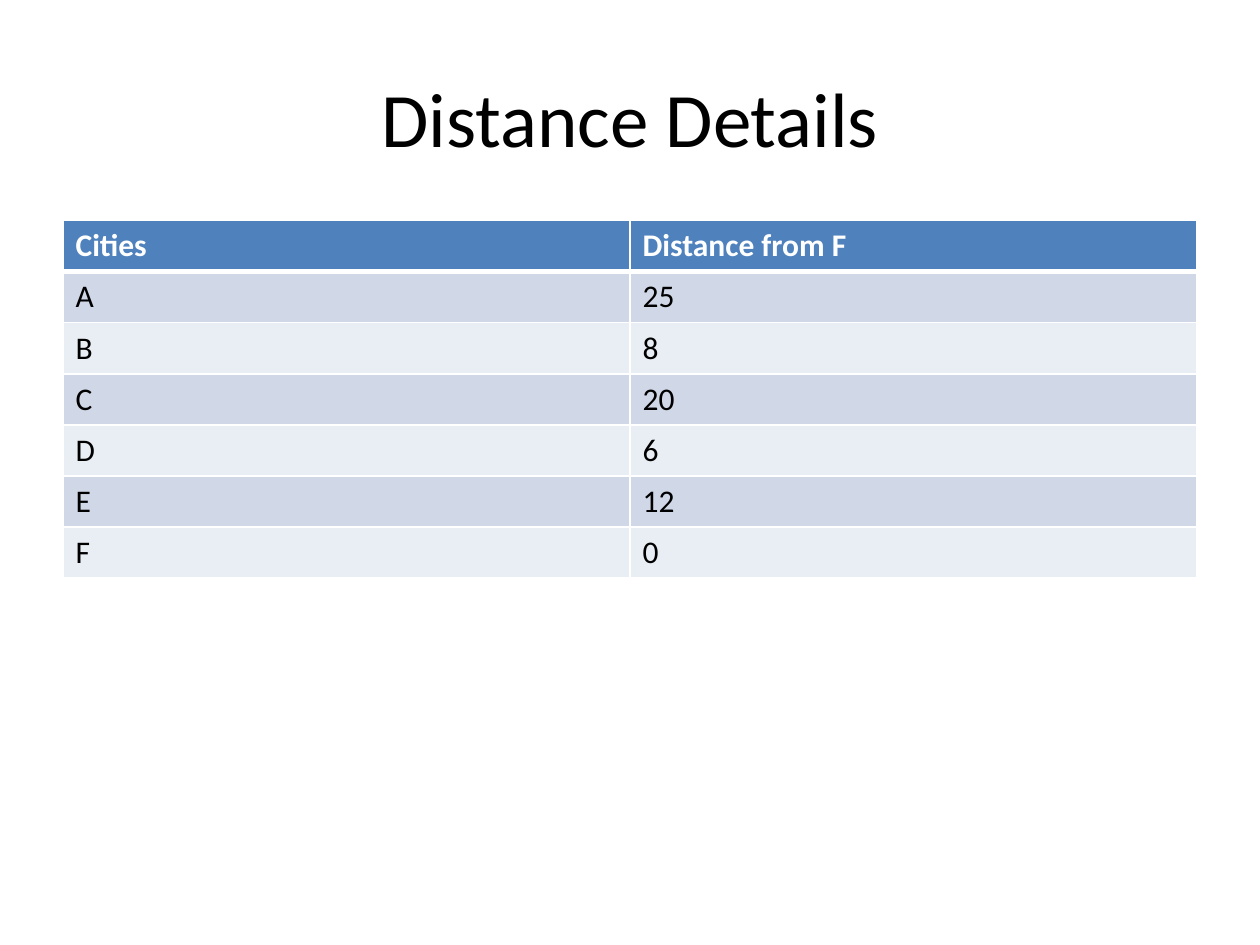
"""Build a slide with a table of city distances."""
from dataclasses import dataclass

from lxml import etree
from pptx import Presentation
from pptx import util as u
from pptx.dml.color import RGBColor
from pptx.enum import text
from pptx.oxml import ns

FONT = "Calibri"
BLACK = RGBColor(0, 0, 0)
WHITE = RGBColor(255, 255, 255)
BLUE = RGBColor(0x4F, 0x81, 0xBD)
BANDS = (RGBColor(0xE9, 0xED, 0xF4), RGBColor(0xD0, 0xD8, 0xE8))
THIN, THICK = 1, 3


@dataclass
class Row:
    city: str
    dist: str


ROWS = [
    Row("Cities", "Distance from F"),
    Row("A", "25"),
    Row("B", "8"),
    Row("C", "20"),
    Row("D", "6"),
    Row("E", "12"),
    Row("F", "0"),
]


def style(frame, size: float, color: RGBColor, bold: bool = False) -> None:
    for para in frame.paragraphs:
        for run in para.runs:
            font = run.font
            font.name, font.size, font.bold = FONT, u.Pt(size), bold
            font.color.rgb = color


def edge(cell, side: str, width: float) -> None:
    props = cell._tc.get_or_add_tcPr()
    line = etree.SubElement(props, ns.qn(f"a:ln{side}"), w=str(u.Pt(width)))
    fill = etree.SubElement(line, ns.qn("a:solidFill"))
    etree.SubElement(fill, ns.qn("a:srgbClr"), val=str(WHITE))


def draw_cell(cell, label: str, row: int) -> None:
    head = row == 0
    top = THICK if row == 1 else THIN
    base = THICK if head else THIN
    for side, width in zip("LRTB", (THIN, THIN, top, base)):
        edge(cell, side, width)
    cell.fill.solid()
    cell.fill.fore_color.rgb = BLUE if head else BANDS[row % 2]
    cell.text_frame.text = label
    style(cell.text_frame, 18, WHITE if head else BLACK, head)


def draw_title(title, label: str) -> None:
    title.left, title.top = u.Pt(36), u.Pt(21.6)
    title.width, title.height = u.Pt(648), u.Pt(90)
    frame = title.text_frame
    frame.text = label
    frame.vertical_anchor = text.MSO_ANCHOR.MIDDLE
    frame.paragraphs[0].alignment = text.PP_ALIGN.CENTER
    style(frame, 44, BLACK)


def draw_table(slide, rows: list[Row]) -> None:
    high = u.Pt(29.2)
    table = slide.shapes.add_table(
        len(rows), 2, u.Pt(36), u.Pt(126), u.Pt(648), high * len(rows)
    ).table
    for i, row in enumerate(rows):
        table.rows[i].height = high
        for j, label in enumerate((row.city, row.dist)):
            draw_cell(table.cell(i, j), label, i)


def main() -> None:
    deck = Presentation()
    deck.slide_width, deck.slide_height = u.Pt(720), u.Pt(540)
    slide = deck.slides.add_slide(deck.slide_layouts[5])
    draw_title(slide.shapes.title, "Distance Details")
    draw_table(slide, ROWS)
    deck.save("out.pptx")


if __name__ == "__main__":
    main()
